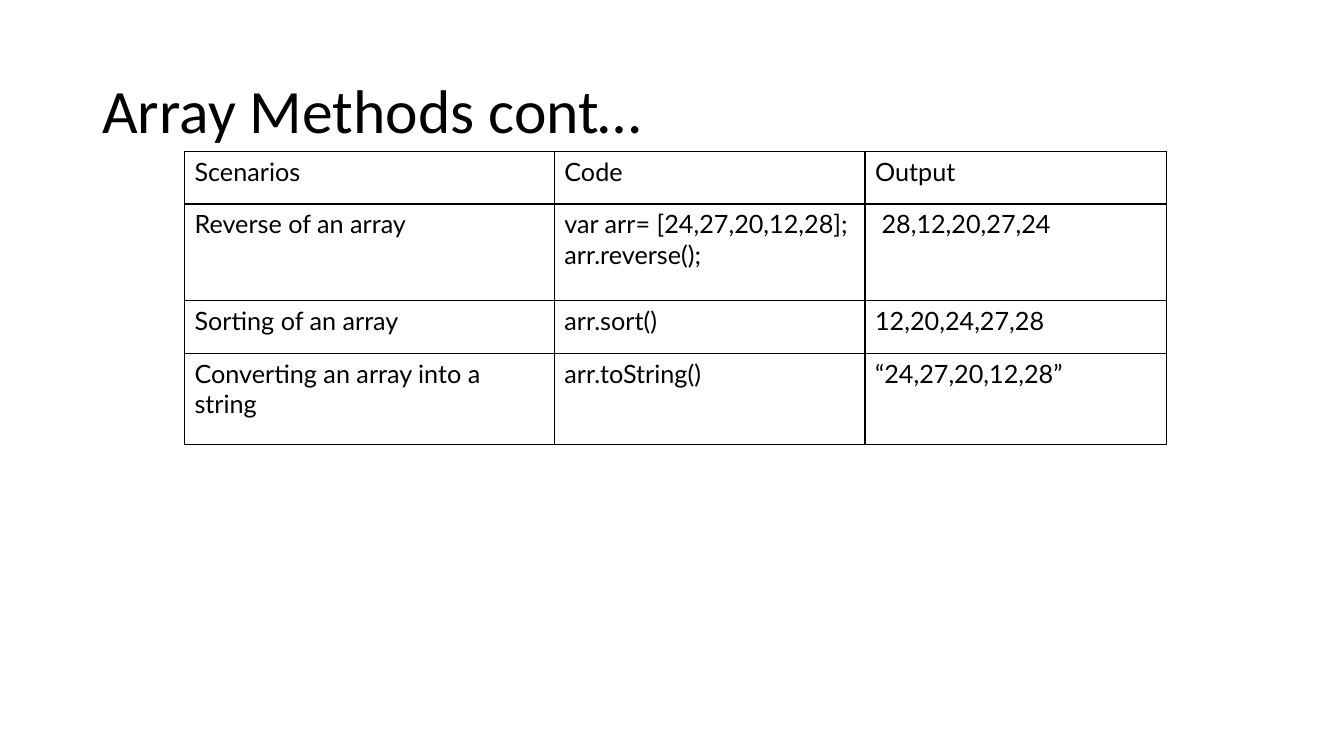
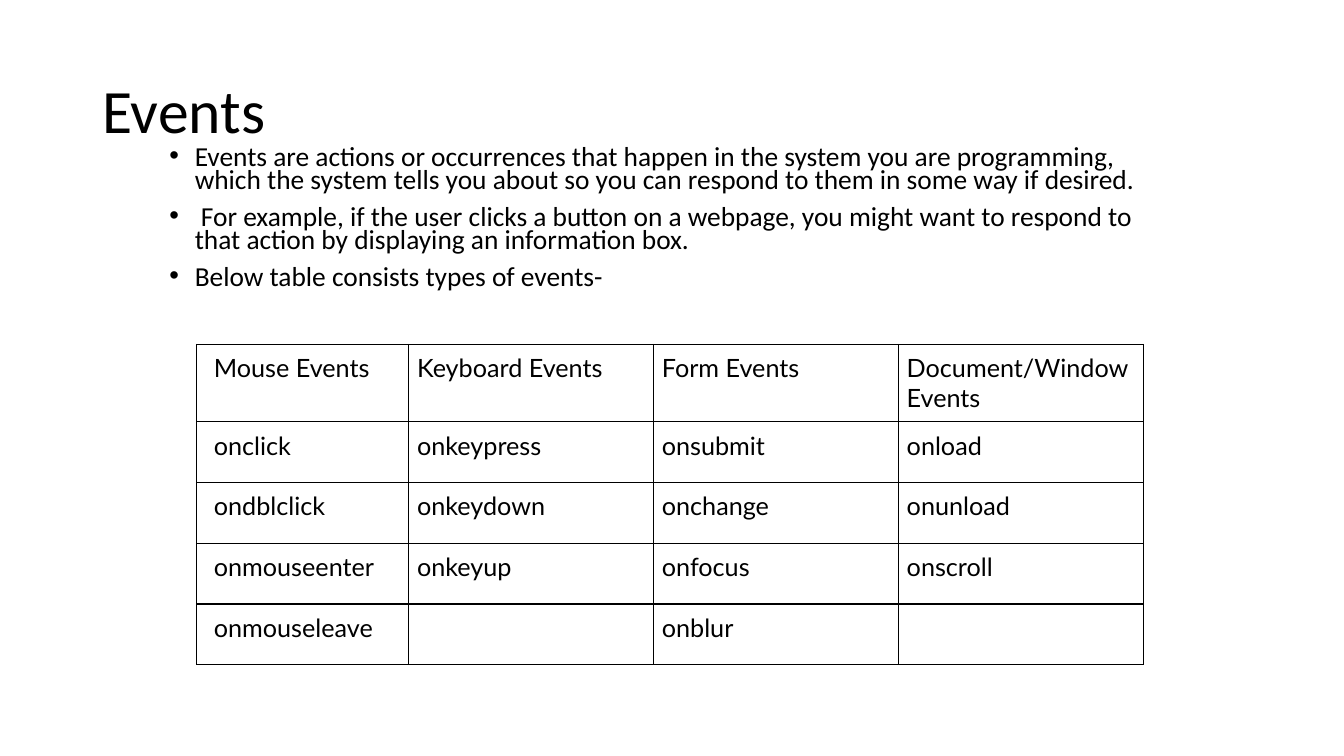
from lxml.etree import SubElement
from pptx import Presentation
from pptx.dml.color import RGBColor
from pptx.enum.text import MSO_ANCHOR
from pptx.oxml.ns import qn
from pptx.util import Cm, Pt

BLACK = RGBColor(0, 0, 0)
WHITE = RGBColor(255, 255, 255)
HEAD_FONT, TABLE_FONT = "Calibri", "Lato"

METHODS = [
    ["Scenarios", "Code", "Output"],
    ["Reverse of an array", "var arr= [24,27,20,12,28];\narr.reverse();",
     " 28,12,20,27,24"],
    ["Sorting of an array", "arr.sort()", "12,20,24,27,28"],
    ["Converting an array into a string", "arr.toString()",
     "“24,27,20,12,28”"],
]
EVENT_NOTES = [
    "Events are actions or occurrences that happen in the system you are "
    "programming, which the system tells you about so you can respond to "
    "them in some way if desired.",
    " For example, if the user clicks a button on a webpage, you might want "
    "to respond to that action by displaying an information box.",
    "Below table consists types of events-",
]
EVENTS = [
    ["Mouse Events", "Keyboard Events", "Form Events",
     "Document/Window Events"],
    ["onclick", "onkeypress", "onsubmit", "onload"],
    ["ondblclick", "onkeydown", "onchange", "onunload"],
    ["onmouseenter", "onkeyup", "onfocus", "onscroll"],
    ["onmouseleave", "", "onblur", ""],
]


def write(tf, lines, size=18, font=HEAD_FONT, color=BLACK, spacing=None,
          before=None, bullet=False):
    """Fill a text frame with one paragraph per line."""
    for i, line in enumerate(lines):
        p = tf.paragraphs[0] if i == 0 else tf.add_paragraph()
        if spacing:
            p.line_spacing = spacing
        if before:
            p.space_before = Pt(before)
        if bullet:
            add_bullet(p)
        r = p.add_run()
        r.text = line
        r.font.size, r.font.name = Pt(size), font
        r.font.color.rgb = color


def add_bullet(p, indent=Cm(0.64)):
    pPr = p._p.get_or_add_pPr()
    pPr.set("marL", str(indent))
    pPr.set("indent", str(-indent))
    SubElement(pPr, qn("a:buFont")).set("typeface", "Arial")
    SubElement(pPr, qn("a:buChar")).set("char", "•")


def add_text(s, x, y, w, h, lines, anchor=MSO_ANCHOR.TOP, **style):
    tf = s.shapes.add_textbox(Cm(x), Cm(y), Cm(w), Cm(h)).text_frame
    tf.word_wrap = True
    tf.vertical_anchor = anchor
    write(tf, lines, **style)


def add_borders(cell, width=Pt(1), color=BLACK):
    tcPr = cell._tc.get_or_add_tcPr()
    for side in ("a:lnL", "a:lnR", "a:lnT", "a:lnB"):
        ln = SubElement(tcPr, qn(side), w=str(width))
        fill = SubElement(ln, qn("a:solidFill"))
        SubElement(fill, qn("a:srgbClr")).set("val", str(color))


def set_margins(cell, left, other):
    cell.margin_left = Cm(left)
    cell.margin_right = cell.margin_top = cell.margin_bottom = Cm(other)


def add_grid(s, x, y, widths, heights, rows, margins=None):
    """Add a ruled table; margins gives (first column left, all others)."""
    table = s.shapes.add_table(len(rows), len(widths), Cm(x), Cm(y),
                               Cm(sum(widths)), Cm(sum(heights))).table
    table.first_row = table.horz_banding = False
    for col, w in zip(table.columns, widths):
        col.width = Cm(w)
    for row, h, texts in zip(table.rows, heights, rows):
        row.height = Cm(h)
        for j, (cell, text) in enumerate(zip(row.cells, texts)):
            add_borders(cell)
            cell.fill.solid()
            cell.fill.fore_color.rgb = WHITE
            if margins:
                first, other = margins
                set_margins(cell, other if j else first, other)
            if text:
                write(cell.text_frame, text.split("\n"), font=TABLE_FONT)


def add_slide(prs, title):
    s = prs.slides.add_slide(prs.slide_layouts[6])
    add_text(s, 2.33, 1.01, 29.21, 3.68, [title], anchor=MSO_ANCHOR.MIDDLE,
             size=44, spacing=0.9)
    return s


def main():
    prs = Presentation()
    prs.slide_width, prs.slide_height = Cm(33.87), Cm(19.05)

    # Array methods
    s = add_slide(prs, "Array Methods cont…")
    add_grid(s, 4.65, 3.81, [9.32, 7.83, 7.59], [1.33, 2.43, 1.33, 2.31],
             METHODS)

    # Events
    s = add_slide(prs, "Events")
    add_text(s, 4.02, 3.61, 25.73, 4.65, EVENT_NOTES, size=19.6,
             spacing=0.7, before=10, bullet=True)
    add_grid(s, 4.96, 8.68, [5.34] + [6.17] * 3, [1.95] + [1.53] * 4,
             EVENTS, margins=(0.43, 0.21))

    prs.save("out.pptx")


if __name__ == "__main__":
    main()
